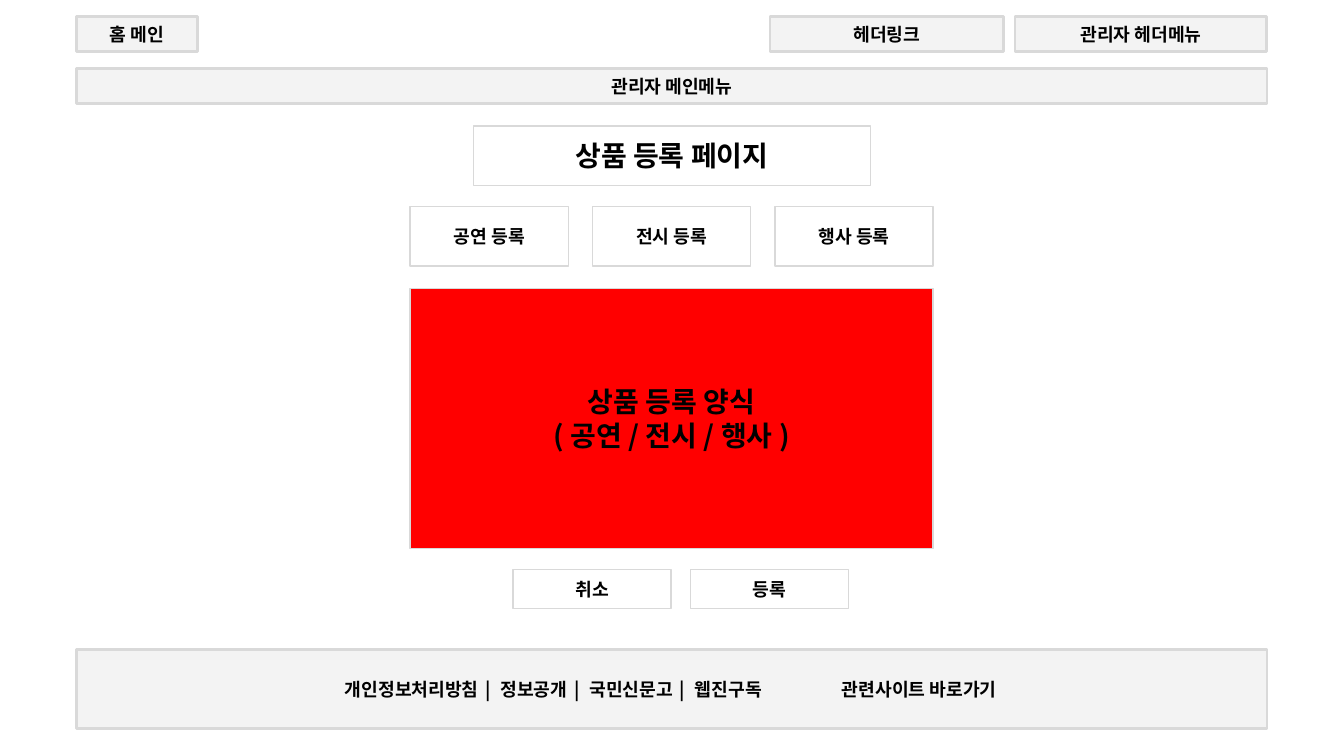
from lxml.etree import SubElement
from pptx import Presentation
from pptx.dml.color import RGBColor
from pptx.enum.shapes import MSO_SHAPE as Shape
from pptx.enum.text import MSO_ANCHOR as Anchor, MSO_AUTO_SIZE as AutoSize, PP_ALIGN as Align
from pptx.oxml.ns import qn
from pptx.util import Pt

# Content
FONT = "Noto Sans CJK KR"
GRAY, WHITE, RED, BLACK = "D9D9D9", "FFFFFF", "FF0000", "000000"
PAGE_TITLE = "상품 등록 페이지"
MAIN_MENU = "관리자 메인메뉴"
HEADER = [("홈 메인", 54.7, 86.4), ("헤더링크", 550, 167), ("관리자 헤더메뉴", 725, 180)]
TABS = ["공연 등록", "전시 등록", "행사 등록"]
FORM = "상품 등록 양식\n( 공연 / 전시 / 행사 )"
ACTIONS = ["취소", "등록"]
FOOTER_LINKS = ["개인정보처리방침", "정보공개", "국민신문고", "웹진구독"]
RELATED_SITES = "관련사이트 바로가기"

# Layout in points
PAGE_W, PAGE_H = 960, 540
BAR_X, BAR_W, BAR_H = 54.7, 850.3, 25.2
TITLE_W = 283.6
TAB_X, TAB_STEP, BUTTON_W, BUTTON_H = 293, 130.3, 113, 42.5
ACTION_X, ACTION_STEP = 366.5, 126.7
FOOTER_INSET, RELATED_TAB, SEPARATOR_SPACING = 191.7, 355, 2


def color(value):
    return RGBColor.from_string(value)


def format_text(box, size, align=Align.CENTER):
    frame = box.text_frame
    frame.word_wrap = True
    frame.auto_size = AutoSize.NONE
    frame.vertical_anchor = Anchor.MIDDLE
    for para in frame.paragraphs:
        para.alignment = align
        for span in para.runs:
            span.font.size, span.font.bold, span.font.name = Pt(size), True, FONT
            span.font.color.rgb = color(BLACK)
            SubElement(span.font._element, qn("a:ea"), typeface=FONT)


def paint(box, fill, line_width):
    box.fill.solid()
    box.fill.fore_color.rgb = color(fill)
    box.line.color.rgb = color(GRAY)
    box.line.width = Pt(line_width)


def add_box(text, left, top, width, height, fill=WHITE, size=13):
    box = page.shapes.add_shape(Shape.RECTANGLE, Pt(left), Pt(top), Pt(width), Pt(height))
    box.shadow.inherit = False
    paint(box, fill, 1)
    box.text_frame.text = text
    format_text(box, size)
    return box


def add_bar(text, left, top, width, height=BAR_H):
    bar = add_box(text, left, top, width, height)
    paint(bar, GRAY, 2)
    fill_color = bar.fill._xPr.find(qn("a:solidFill"))[0]
    SubElement(fill_color, qn("a:alpha"), val="30000")
    return bar


deck = Presentation()
deck.slide_width, deck.slide_height = Pt(PAGE_W), Pt(PAGE_H)
page = deck.slides.add_slide(deck.slide_layouts[5])

# Page title
title = page.shapes.title
title.left, title.top = Pt((PAGE_W - TITLE_W) / 2), Pt(90)
title.width, title.height = Pt(TITLE_W), Pt(BUTTON_H)
title.text_frame.text = PAGE_TITLE
paint(title, WHITE, 1)
format_text(title, 20)

# Header and main menu
for label, left, width in HEADER:
    add_bar(label, left, 11.5, width)
add_bar(MAIN_MENU, BAR_X, 49, BAR_W)

# Registration tabs and form
for index, label in enumerate(TABS):
    add_box(label, TAB_X + index * TAB_STEP, 147.6, BUTTON_W, BUTTON_H)
add_box(FORM, TAB_X, 206, 2 * TAB_STEP + BUTTON_W, 185.8, RED, 20)

# Action buttons
for index, label in enumerate(ACTIONS):
    add_box(label, ACTION_X + index * ACTION_STEP, 406.8, BUTTON_W, 28)

# Footer links, with a tab stop for the related sites
footer = add_bar("", BAR_X, 463.7, BAR_W, 56.9)
footer.text_frame.margin_left = Pt(FOOTER_INSET)
links = footer.text_frame.paragraphs[0]
for index, label in enumerate(FOOTER_LINKS):
    if index:
        separator = links.add_run()
        separator.text = " | "
        separator.font._element.set("spc", str(SEPARATOR_SPACING * 100))
    links.add_run().text = label
links.add_run().text = "\t" + RELATED_SITES
stops = SubElement(links._p.get_or_add_pPr(), qn("a:tabLst"))
SubElement(stops, qn("a:tab"), pos=str(Pt(RELATED_TAB)), algn="l")
format_text(footer, 13, Align.LEFT)

deck.save("out.pptx")
